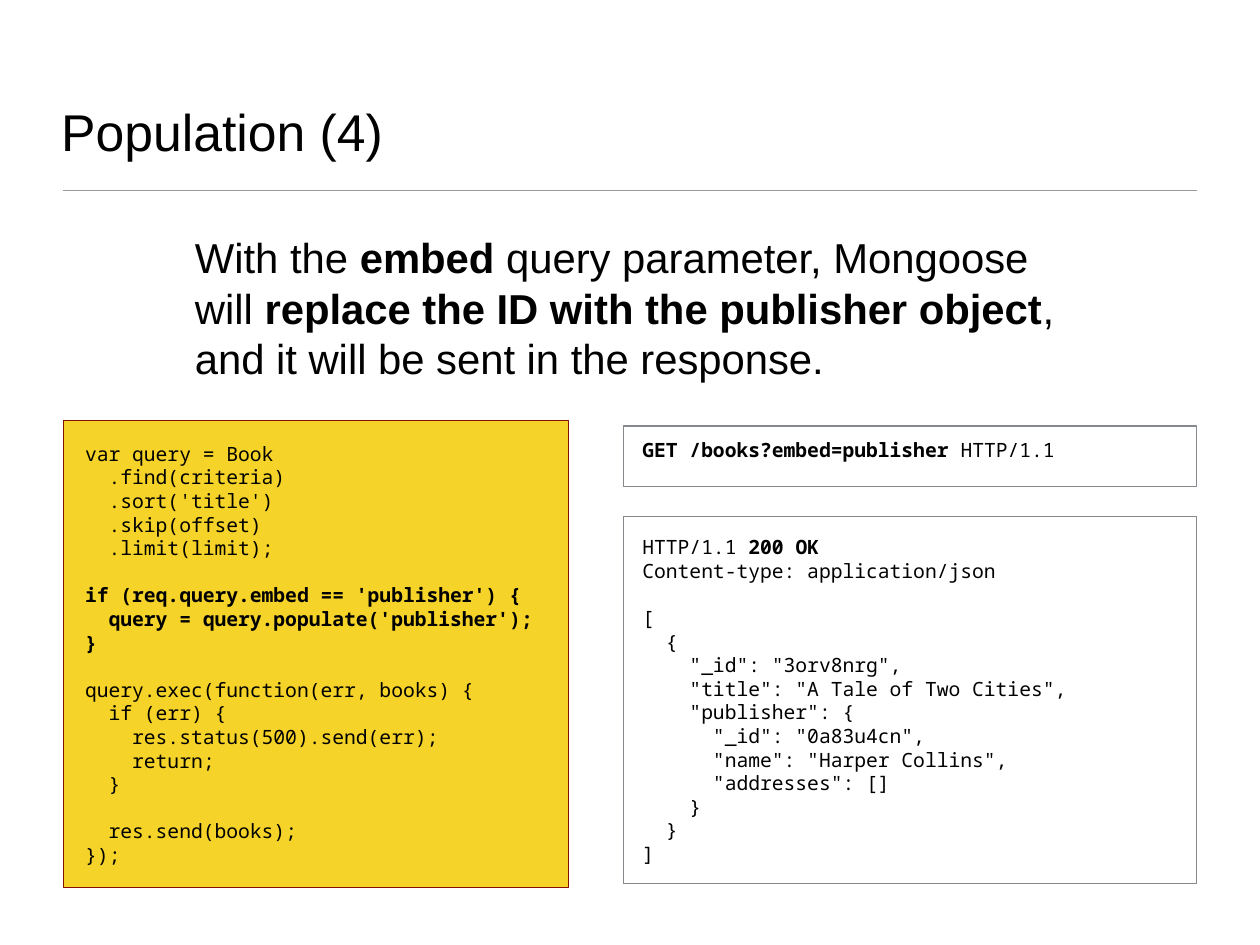
from lxml.etree import SubElement
from pptx import Presentation
from pptx.dml.color import RGBColor
from pptx.enum.shapes import MSO_CONNECTOR, MSO_SHAPE
from pptx.enum.text import MSO_ANCHOR, MSO_AUTO_SIZE, PP_ALIGN
from pptx.oxml.ns import qn
from pptx.util import Inches, Pt

COLORS = {"text": "000000", "rule": "9A9A9A", "code_fill": "F5D328",
          "code_line": "851001", "message_line": "85888D"}
BODY_FONT = "Arial"
CODE_FONT = "Noto Sans Mono"

QUERY_CODE = """var query = Book
  .find(criteria)
  .sort('title')
  .skip(offset)
  .limit(limit);

**if (req.query.embed == 'publisher') {**
**  query = query.populate('publisher');**
**}**

query.exec(function(err, books) {
  if (err) {
    res.status(500).send(err);
    return;
  }

  res.send(books);
});"""

REQUEST = "**GET /books?embed=publisher **HTTP/1.1"

RESPONSE = """HTTP/1.1 **200 OK**
Content-type: application/json

[
  {
    "_id": "3orv8nrg",
    "title": "A Tale of Two Cities",
    "publisher": {
      "_id": "0a83u4cn",
      "name": "Harper Collins",
      "addresses": []
    }
  }
]"""

EXPLANATION = ("With the **embed** query parameter, Mongoose will "
               "**replace the ID with the publisher object**"
               ", and it will be sent in the response.")


def color(name):
    """Return the named colour."""
    return RGBColor.from_string(COLORS[name])


def write_text(frame, text, font, size, inset, anchor):
    """Fill a frame line by line, with ** switching bold on and off."""
    frame.word_wrap = True
    frame.vertical_anchor = anchor
    frame.margin_left = frame.margin_right = Inches(inset)
    frame.margin_top = frame.margin_bottom = Inches(inset)
    for number, line in enumerate(text.split("\n")):
        para = frame.add_paragraph() if number else frame.paragraphs[0]
        para.alignment = PP_ALIGN.LEFT
        for position, words in enumerate(line.split("**")):
            if words:
                span = para.add_run()
                span.text = words
                span.font.name = font
                span.font.size = Pt(size)
                span.font.bold = position % 2 == 1
                span.font.color.rgb = color("text")
        if not line:
            SubElement(para._p, qn("a:endParaRPr"), sz=str(size * 100))


def add_heading(page, left, top, width, height):
    """Place the title and the rule below it."""
    title = page.shapes.title
    title.left, title.top = Inches(left), Inches(top)
    title.width, title.height = Inches(width), Inches(height)
    write_text(title.text_frame, "Population (4)", BODY_FONT, 42, 0.06,
               MSO_ANCHOR.BOTTOM)
    title.text_frame.auto_size = MSO_AUTO_SIZE.NONE
    rule_top = Inches(top + height + 0.26)
    rule = page.shapes.add_connector(
        MSO_CONNECTOR.STRAIGHT, Inches(left + 0.08), rule_top,
        Inches(left + width - 0.09), rule_top)
    rule.line.color.rgb = color("rule")
    rule.line.width = Pt(1)
    SubElement(rule._element.spPr, qn("a:effectLst"))


def add_explanation(page, left, top, width, height):
    """Place the sentence that explains the embed parameter."""
    box = page.shapes.add_textbox(Inches(left), Inches(top),
                                  Inches(width), Inches(height))
    write_text(box.text_frame, EXPLANATION, BODY_FONT, 34, 0.06,
               MSO_ANCHOR.MIDDLE)


def add_code_box(page, left, top, width, height, code, line, inset,
                 fill=None, anchor=MSO_ANCHOR.TOP):
    """Place a framed block of code."""
    box = page.shapes.add_shape(MSO_SHAPE.RECTANGLE, Inches(left), Inches(top),
                                Inches(width), Inches(height))
    box.shadow.inherit = False
    if fill:
        box.fill.solid()
        box.fill.fore_color.rgb = color(fill)
    else:
        box.fill.background()
    box.line.color.rgb = color(line)
    box.line.width = Pt(1)
    write_text(box.text_frame, code, CODE_FONT, 16, inset, anchor)
    box.text_frame.auto_size = MSO_AUTO_SIZE.SHAPE_TO_FIT_TEXT


def add_exchange(page, left, top, width):
    """Place the HTTP request above its response."""
    for offset, height, message in ((0, 0.68, REQUEST), (1.02, 4.15, RESPONSE)):
        add_code_box(page, left, top + offset, width, height, message,
                     "message_line", 0.21)


def main():
    """Build the slide and save it."""
    deck = Presentation()
    deck.slide_width, deck.slide_height = Inches(14.22), Inches(10.67)
    page = deck.slides.add_slide(deck.slide_layouts.get_by_name("Title Only"))
    add_heading(page, 0.63, 0.36, 12.97, 1.53)
    add_code_box(page, 0.72, 4.75, 5.7, 5.27, QUERY_CODE, "code_line", 0.24,
                 "code_fill", MSO_ANCHOR.MIDDLE)
    add_explanation(page, 2.14, 2.28, 9.93, 2.38)
    add_exchange(page, 7.04, 4.81, 6.46)
    deck.save("out.pptx")


if __name__ == "__main__":
    main()
